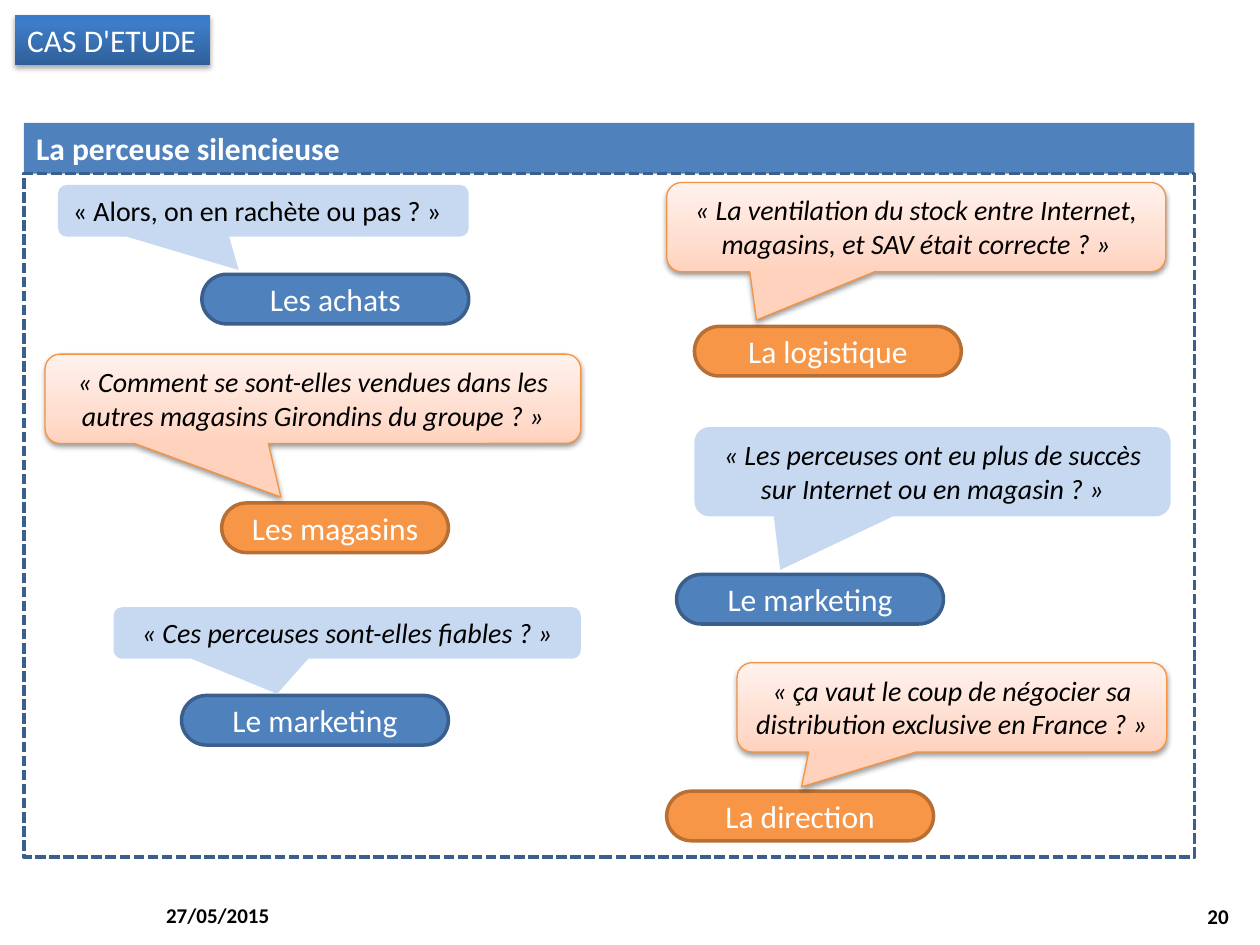
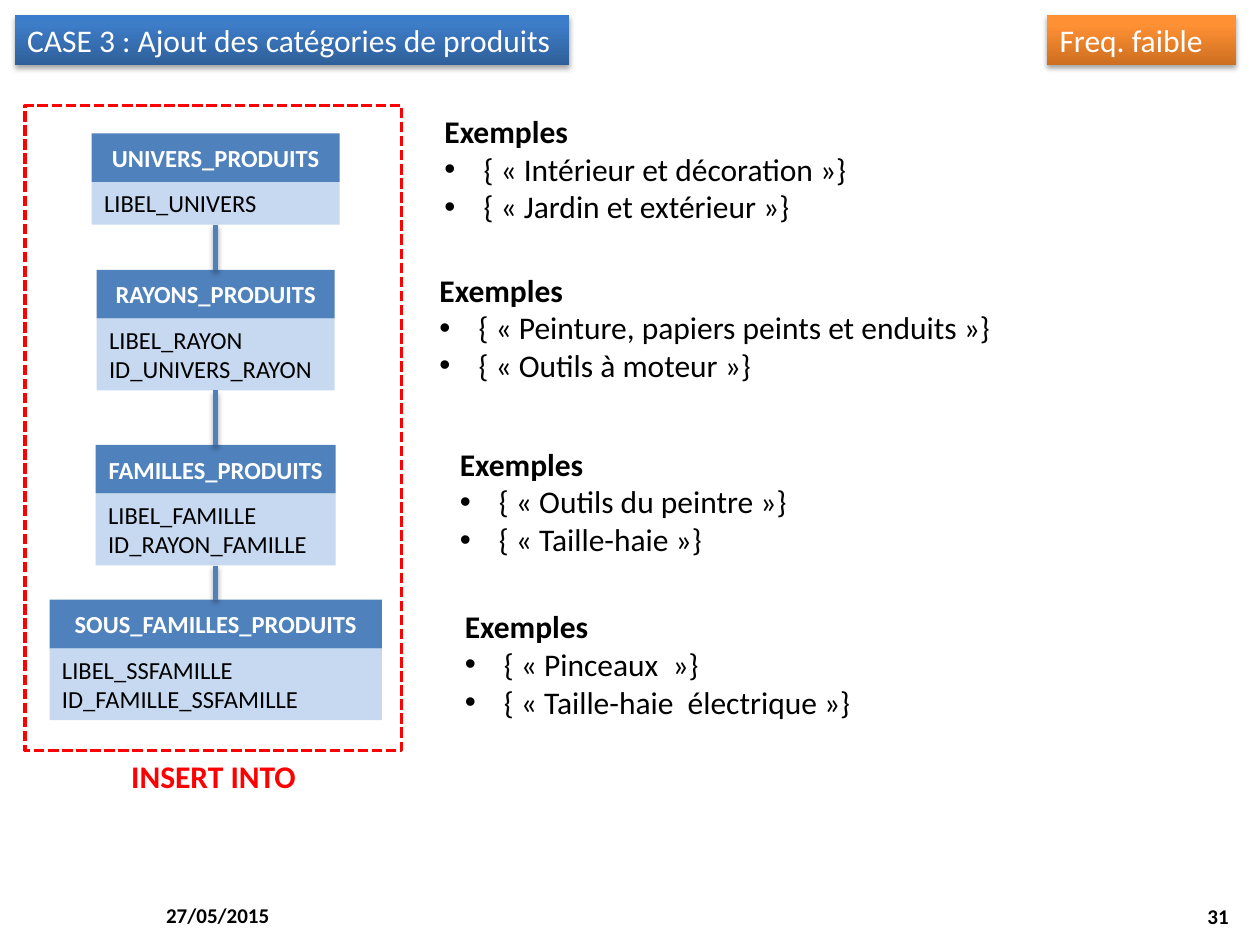
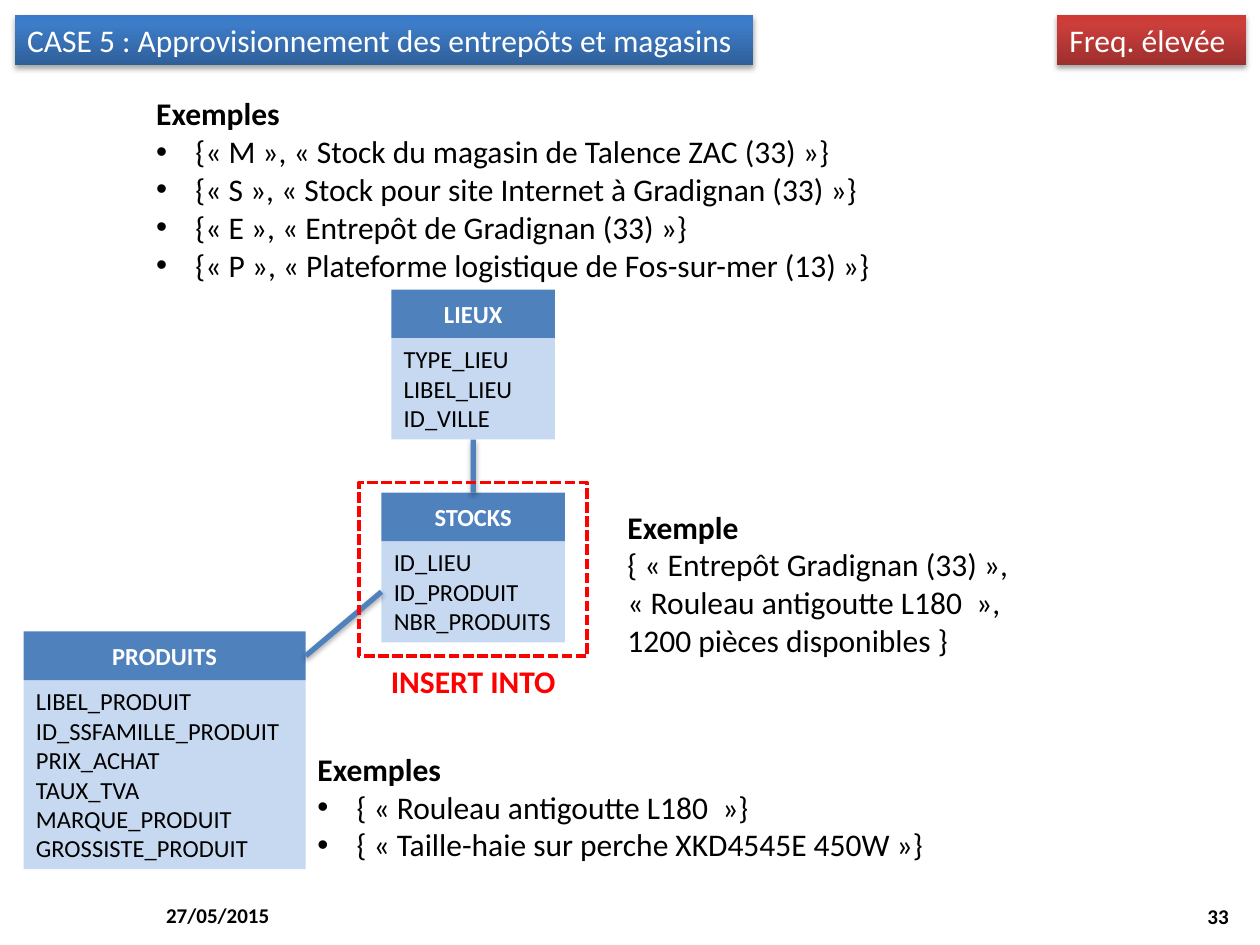
import lxml.etree
import pptx
import pptx.dml.color
import pptx.enum.dml
import pptx.enum.shapes
import pptx.enum.text
import pptx.oxml.ns
import pptx.util

Cm = pptx.util.Cm
Pt = pptx.util.Pt
SHAPES = pptx.enum.shapes.MSO_SHAPE
ALIGN = pptx.enum.text.PP_ALIGN
ANCHOR = pptx.enum.text.MSO_ANCHOR
qn = pptx.oxml.ns.qn

FONT = "Calibri"
BLACK, WHITE, RED = "000000", "FFFFFF", "FF0000"
BLUE, DARK_BLUE, PALE_BLUE = "4F81BD", "3A5F8C", "C6D9F1"
ORANGE, DARK_ORANGE, BRIGHT_ORANGE = "F79646", "B76F34", "F69240"
BLUE_BAND = [(0, "2F5F99"), (80, "3D7CC7"), (100, "3A7CCB")]
ORANGE_BAND = [(0, "CC6E20"), (80, "FF9034"), (100, "FF9136")]
RED_BAND = [(0, "9C2F2D"), (80, "CB3E3A"), (100, "CE3B37")]
PEACH = [(0, "FFD2BD"), (35, "FFDED0"), (100, "FFF2ED")]
LINE_HEIGHT = 1.02
HEADER_HEIGHT = 0.98


def rgb(value):
    """Turn a hex string into a colour."""
    return pptx.dml.color.RGBColor.from_string(value)


def child(parent, tag, **attributes):
    """Append an XML element with the given attributes."""
    element = lxml.etree.SubElement(parent, qn(tag))
    for name, value in attributes.items():
        element.set(name, str(value))
    return element


def cast_shadow(effects, opacity=35, distance=1.8):
    """Put a soft downward shadow in an effect list."""
    outer = child(effects, "a:outerShdw", blurRad=Pt(3.1), dist=Pt(distance),
                  dir=90 * 60000, rotWithShape=0)
    child(child(outer, "a:srgbClr", val=BLACK), "a:alpha", val=opacity * 1000)


def paint(shape, fill):
    """Fill a shape with nothing, one colour or upward gradient stops."""
    if fill is None:
        shape.fill.background()
    elif isinstance(fill, str):
        shape.fill.solid()
        shape.fill.fore_color.rgb = rgb(fill)
    else:
        shape.fill.gradient()
        shape.fill.gradient_angle = 90
        stops = shape.element.spPr.find(".//" + qn("a:gsLst"))
        for old_stop in list(stops):
            stops.remove(old_stop)
        for position, color in fill:
            child(child(stops, "a:gs", pos=position * 1000), "a:srgbClr", val=color)


def draw(slide, kind, box, fill=None, line=None, width=2, dashed=False, shadow=None):
    """Add a preset shape in a box given in centimetres."""
    shape = slide.shapes.add_shape(kind, *map(Cm, box))
    shape.shadow.inherit = False
    paint(shape, fill)
    if line:
        shape.line.color.rgb = rgb(line)
        shape.line.width = Pt(width)
        if dashed:
            shape.line.dash_style = pptx.enum.dml.MSO_LINE.SQUARE_DOT
    else:
        shape.line.fill.background()
    if shadow:
        cast_shadow(shape.element.spPr.find(qn("a:effectLst")), *shadow)
    return shape


def write(shape, text, size=18, color=BLACK, bold=False, italic=False, align=ALIGN.LEFT,
          anchor=ANCHOR.TOP, wrap=True, heading=False, bulleted=False):
    """Write newline-separated paragraphs, with an optional heading and bullets."""
    frame = shape.text_frame
    frame.word_wrap = wrap
    frame.vertical_anchor = anchor
    for index, words in enumerate(text.split("\n")):
        paragraph = frame.add_paragraph() if index else frame.paragraphs[0]
        paragraph.alignment = align
        if bulleted and index:
            properties = paragraph._p.get_or_add_pPr()
            properties.set("marL", str(Cm(0.79)))
            properties.set("indent", str(-Cm(0.79)))
            child(properties, "a:buFont", typeface="Arial")
            child(properties, "a:buChar", char="•")
        run = paragraph.add_run()
        run.text = words
        run.font.name = FONT
        run.font.size = Pt(size)
        run.font.bold = bold or (heading and index == 0)
        run.font.italic = italic
        run.font.color.rgb = rgb(color)


def label(slide, box, text, **text_format):
    """Add a plain text box."""
    write(slide.shapes.add_textbox(*map(Cm, box)), text, **text_format)


def tag(slide, box, text, band, wrap=True):
    """Add a shaded title or frequency tag."""
    plate = draw(slide, SHAPES.RECTANGLE, box, band, shadow=(35, 1.8))
    write(plate, text, color=WHITE, wrap=wrap)


def start_slide(presentation, title, title_width, number):
    """Add a slide with its title tag, date and number."""
    slide = presentation.slides.add_slide(presentation.slide_layouts[6])
    footer = dict(size=12, bold=True, anchor=ANCHOR.MIDDLE)
    label(slide, (3.1, 17.93, 5.92, LINE_HEIGHT), "27/05/2015", **footer)
    label(slide, (19.1, 17.96, 5.92, LINE_HEIGHT), number, align=ALIGN.RIGHT, **footer)
    tag(slide, (0.3, 0.3, title_width, LINE_HEIGHT), title, BLUE_BAND, wrap=False)
    return slide


def panel(slide, box, heading):
    """Draw a heading band over a dashed frame."""
    left, top, width, height = box
    band = draw(slide, SHAPES.RECTANGLE, (left, top, width, LINE_HEIGHT), BLUE)
    write(band, heading, color=WHITE, bold=True)
    draw(slide, SHAPES.RECTANGLE, (left, top + LINE_HEIGHT, width, height - LINE_HEIGHT),
         line=DARK_BLUE, dashed=True)


def dialogue(slide, box, quote, tip, speaker, speaker_place, warm=False, plain=False):
    """Draw a quote balloon and its speaker, placed from the balloon's corner."""
    right, down, width = speaker_place
    pill = draw(slide, SHAPES.ROUNDED_RECTANGLE, (box[0] + right, box[1] + down, width, 1),
                ORANGE if warm else BLUE, DARK_ORANGE if warm else DARK_BLUE)
    pill.adjustments[0] = 0.5
    write(pill, speaker, color=WHITE, align=ALIGN.CENTER, anchor=ANCHOR.MIDDLE)
    style = dict(fill=PEACH, line=BRIGHT_ORANGE, width=0.75, shadow=(38, 1.6))
    balloon = draw(slide, SHAPES.ROUNDED_RECTANGULAR_CALLOUT, box,
                   **(style if warm else dict(fill=PALE_BLUE)))
    balloon.adjustments[0], balloon.adjustments[1] = tip
    write(balloon, quote, size=16, italic=not plain,
          align=ALIGN.LEFT if plain else ALIGN.CENTER)


def entity(slide, place, name, fields):
    """Draw a data table as a header over its fields and return both."""
    center, top, width = place
    left = center - width / 2
    height = 0.27 + 0.59 * len(fields)
    body = draw(slide, SHAPES.RECTANGLE, (left, top + HEADER_HEIGHT, width, height), PALE_BLUE)
    write(body, "\n".join(fields), size=14)
    header = draw(slide, SHAPES.RECTANGLE, (left, top, width, HEADER_HEIGHT), BLUE)
    write(header, name, size=14, color=WHITE, bold=True, align=ALIGN.CENTER,
          anchor=ANCHOR.MIDDLE)
    return header, body


def relate(slide, source, source_side, target, target_side):
    """Join two entities with a shaded line."""
    relation = slide.shapes.add_connector(pptx.enum.shapes.MSO_CONNECTOR.STRAIGHT, 0, 0, 0, 0)
    relation.begin_connect(source, source_side)
    relation.end_connect(target, target_side)
    relation.line.color.rgb = rgb(BLUE)
    relation.line.width = Pt(3)
    cast_shadow(child(relation.element.spPr, "a:effectLst"))


def insert_zone(slide, box):
    """Draw the dashed red frame with its command centred below."""
    left, top, width, height = box
    draw(slide, SHAPES.RECTANGLE, box, line=RED, dashed=True)
    caption_width = 3.86
    label(slide, (left + (width - caption_width) / 2, top + height, caption_width, LINE_HEIGHT),
          "INSERT INTO", color=RED, bold=True, align=ALIGN.CENTER, wrap=False)


def examples(slide, box, text, bulleted=True):
    """Write example values under a bold heading."""
    label(slide, box, text, heading=True, bulleted=bulleted, wrap=False)


def drill_slide(presentation):
    """Build the case study of the silent drill."""
    slide = start_slide(presentation, "CAS D'ETUDE", 3.94, "20")
    panel(slide, (0.48, 2.48, 23.6, 14.8), "La perceuse silencieuse")
    dialogue(slide, (1.17, 3.73, 8.28, 1.04), "« Alors, on en rachète ou pas ? »",
             (-0.06, 1.15), "Les achats", (2.9, 1.8, 5.38), plain=True)
    dialogue(slide, (0.91, 7.14, 10.8, 1.8),
             "« Comment se sont-elles vendues dans les autres magasins Girondins du groupe ? »",
             (-0.06, 1.1), "Les magasins", (3.56, 3, 4.57), warm=True)
    dialogue(slide, (2.29, 12.24, 9.42, 1.04), "« Ces perceuses sont-elles fiables ? »",
             (-0.15, 1.18), "Le marketing", (1.37, 1.78, 5.38))
    dialogue(slide, (13.44, 3.68, 10.06, 1.8),
             "« La ventilation du stock entre Internet, magasins, et SAV était correcte ? »",
             (-0.32, 1.04), "La logistique", (0.56, 2.9, 5.38), warm=True)
    dialogue(slide, (14, 8.61, 9.6, 1.8),
             "« Les perceuses ont eu plus de succès sur Internet ou en magasin ? »",
             (-0.32, 1.1), "Le marketing", (-0.36, 2.97, 5.38))
    dialogue(slide, (14.86, 13.36, 8.66, 1.8),
             "« ça vaut le coup de négocier sa distribution exclusive en France ? »",
             (-0.35, 0.89), "La direction", (-1.42, 2.59, 5.38), warm=True)


def categories_slide(presentation):
    """Build the case that adds product categories."""
    slide = start_slide(presentation, "CASE 3 : Ajout des catégories de produits", 11.18, "31")
    tag(slide, (21.11, 0.3, 3.81, LINE_HEIGHT), "Freq. faible", ORANGE_BAND)
    axis = 4.35
    levels = [
        (2.69, 5, "UNIVERS_PRODUITS", ["LIBEL_UNIVERS"]),
        (5.44, 4.8, "RAYONS_PRODUITS", ["LIBEL_RAYON", "ID_UNIVERS_RAYON"]),
        (8.97, 4.84, "FAMILLES_PRODUITS", ["LIBEL_FAMILLE", "ID_RAYON_FAMILLE"]),
        (12.09, 6.7, "SOUS_FAMILLES_PRODUITS", ["LIBEL_SSFAMILLE", "ID_FAMILLE_SSFAMILLE"]),
    ]
    parent_body = None
    for top, width, name, fields in levels:
        header, body = entity(slide, (axis, top, width), name, fields)
        if parent_body is not None:
            relate(slide, parent_body, 2, header, 0)
        parent_body = body
    insert_zone(slide, (0.51, 2.13, 7.59, 13))
    examples(slide, (8.71, 2.13, 8.71, 2.57),
             "Exemples\n{ « Intérieur et décoration »}\n{ « Jardin et extérieur »}")
    examples(slide, (8.61, 5.33, 11.76, 2.57),
             "Exemples\n{ « Peinture, papiers peints et enduits »}\n{ « Outils à moteur »}")
    examples(slide, (9.02, 8.84, 7.19, 2.57),
             "Exemples\n{ « Outils du peintre »}\n{ « Taille-haie »}")
    examples(slide, (9.12, 12.12, 8.38, 2.57),
             "Exemples\n{ « Pinceaux  »}\n{ « Taille-haie  électrique »}")


def supply_slide(presentation):
    """Build the case that supplies warehouses and shops."""
    slide = start_slide(presentation, "CASE 5 : Approvisionnement des entrepôts et magasins",
                        14.88, "33")
    tag(slide, (21.31, 0.3, 3.81, LINE_HEIGHT), "Freq. élevée", RED_BAND)
    axis = 9.54
    places = entity(slide, (axis, 5.84, 3.3), "LIEUX", ["TYPE_LIEU", "LIBEL_LIEU", "ID_VILLE"])
    stocks = entity(slide, (axis, 9.93, 3.7), "STOCKS",
                    ["ID_LIEU", "ID_PRODUIT", "NBR_PRODUITS"])
    products = entity(slide, (3.32, 12.73, 5.69), "PRODUITS",
                      ["LIBEL_PRODUIT", "ID_SSFAMILLE_PRODUIT", "PRIX_ACHAT", "TAUX_TVA",
                       "MARQUE_PRODUIT", "GROSSISTE_PRODUIT"])
    relate(slide, products[0], 3, stocks[1], 1)
    relate(slide, places[1], 2, stocks[0], 0)
    insert_zone(slide, (7.24, 9.73, 4.6, 3.5))
    examples(slide, (6.15, 14.99, 12.8, 2.57),
             "Exemples\n{ « Rouleau antigoutte L180  »}\n"
             "{ « Taille-haie sur perche XKD4545E 450W »}")
    examples(slide, (2.9, 1.78, 15.09, 4.11),
             "Exemples\n{« M », « Stock du magasin de Talence ZAC (33) »}\n"
             "{« S », « Stock pour site Internet à Gradignan (33) »}\n"
             "{« E », « Entrepôt de Gradignan (33) »}\n"
             "{« P », « Plateforme logistique de Fos-sur-mer (13) »}")
    examples(slide, (12.4, 10.11, 8.43, 4.11),
             "Exemple\n{ « Entrepôt Gradignan (33) »,\n« Rouleau antigoutte L180  »,\n"
             "1200 pièces disponibles }", bulleted=False)


def main():
    """Build and save the three slides."""
    presentation = pptx.Presentation()
    presentation.slide_width = Cm(25.4)
    presentation.slide_height = Cm(19.05)
    drill_slide(presentation)
    categories_slide(presentation)
    supply_slide(presentation)
    presentation.save("out.pptx")


if __name__ == "__main__":
    main()
